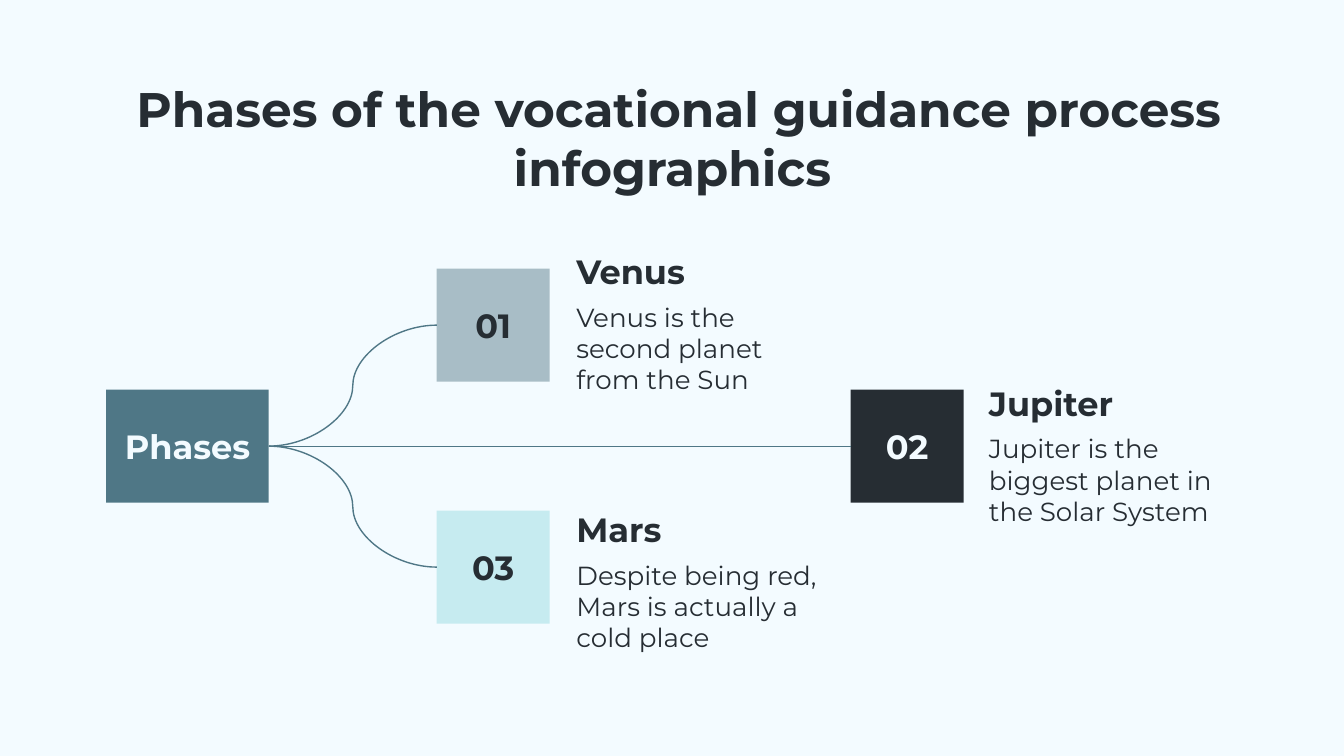
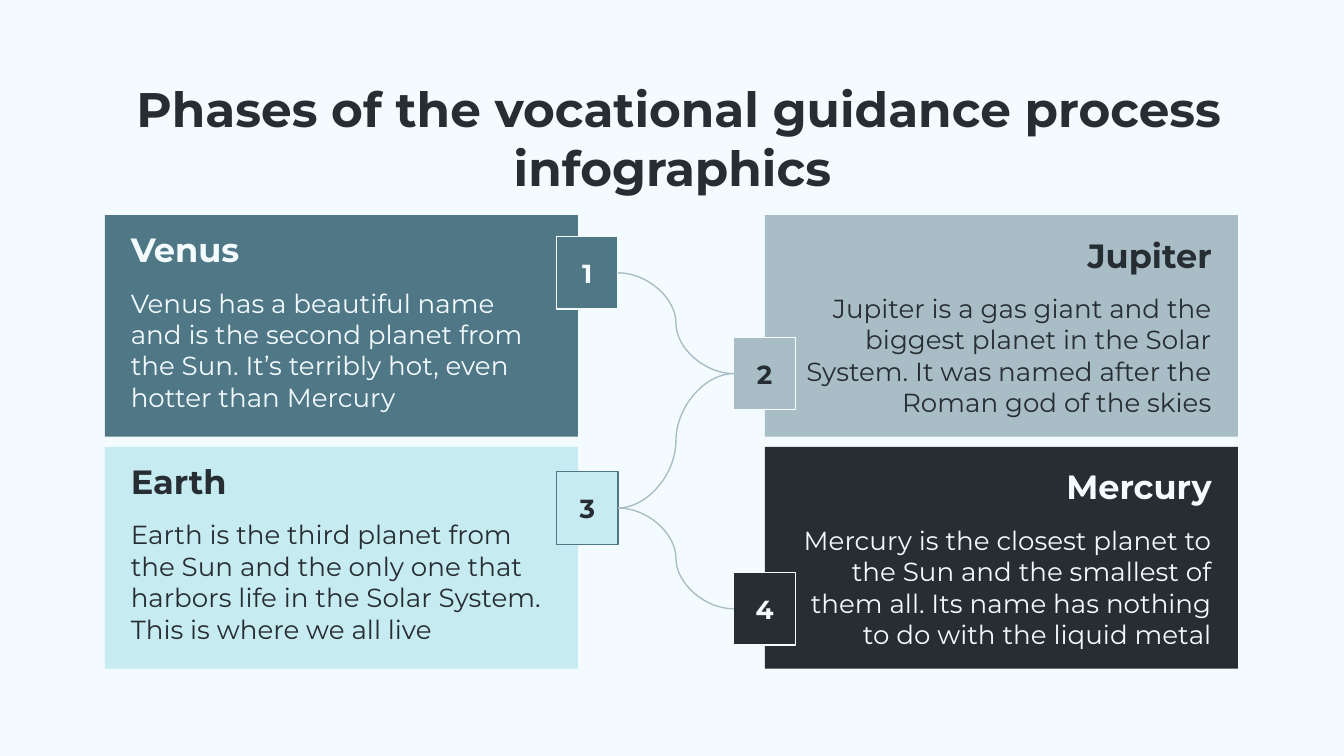
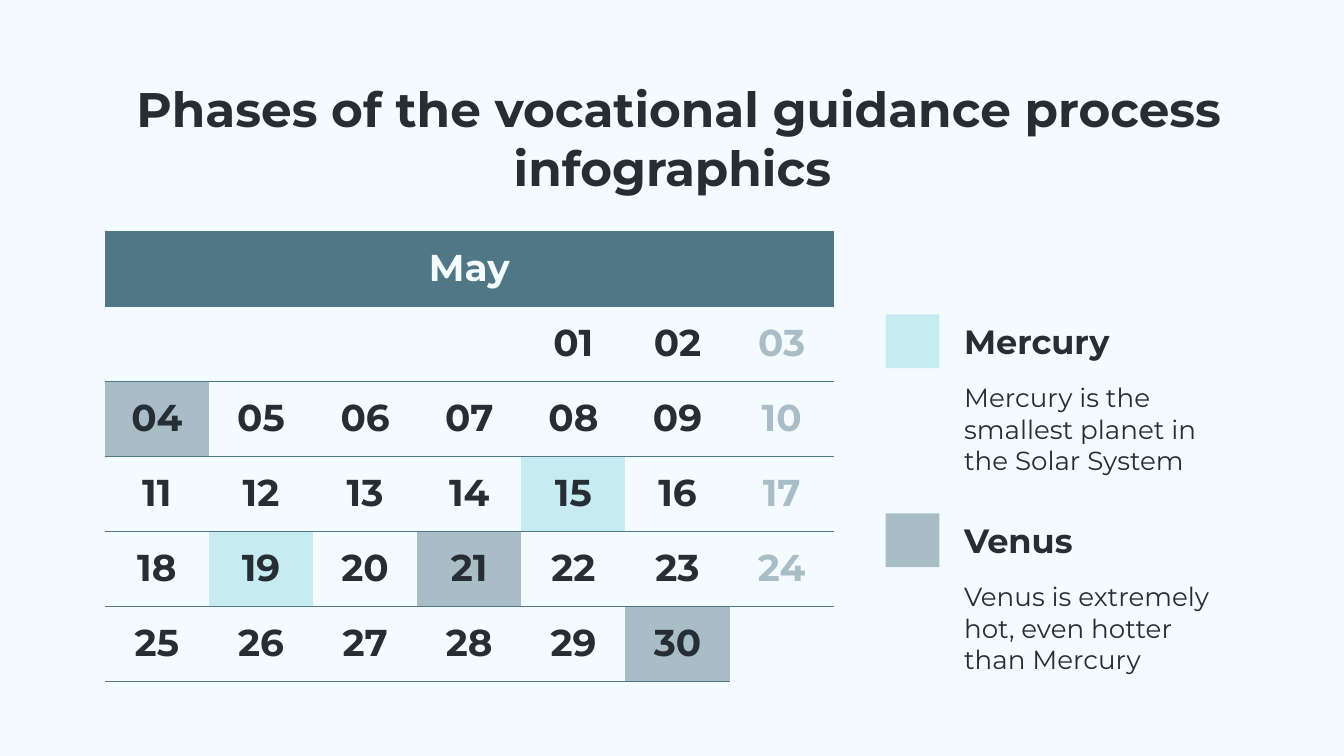
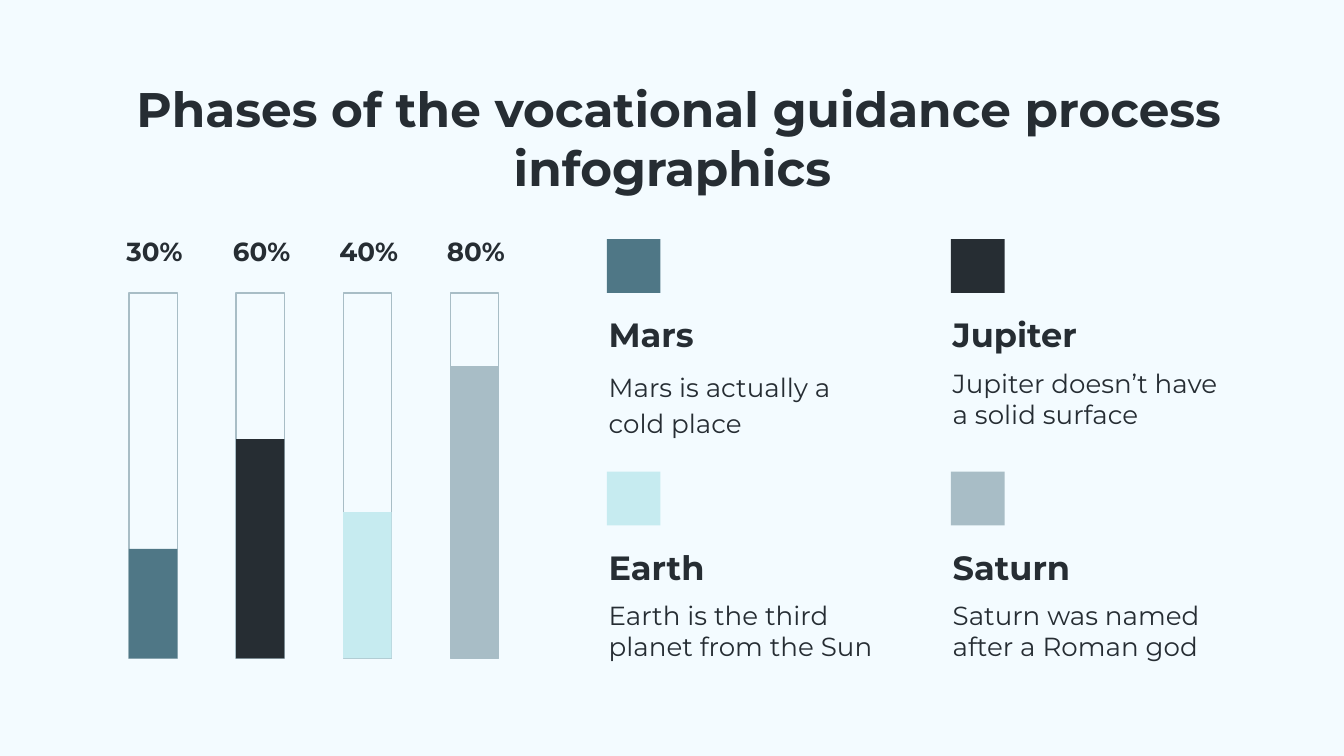
from lxml import etree
from pptx import Presentation
from pptx.dml.color import RGBColor
from pptx.enum.shapes import MSO_CONNECTOR, MSO_SHAPE
from pptx.enum.text import MSO_ANCHOR, PP_ALIGN
from pptx.oxml.ns import qn
from pptx.util import Inches, Pt

CURVE, RECTANGLE = MSO_CONNECTOR.CURVE, MSO_SHAPE.RECTANGLE
TOP, MIDDLE = MSO_ANCHOR.TOP, MSO_ANCHOR.MIDDLE
LEFT, CENTER, RIGHT = PP_ALIGN.LEFT, PP_ALIGN.CENTER, PP_ALIGN.RIGHT
LEFT_SITE, RIGHT_SITE = 1, 3

COLORS = {
    "paper": "F3FBFF",
    "ink": "262D33",
    "teal": "4F7786",
    "gray": "A8BDC6",
    "aqua": "C6EBF0",
}
RGB = {name: RGBColor.from_string(value) for name, value in COLORS.items()}
TEXT_ON = {"teal": "paper", "ink": "paper", "gray": "ink", "aqua": "ink"}
FONT = "Montserrat"
TITLE = " Phases of the vocational guidance process infographics"

presentation = Presentation()
presentation.slide_width = Inches(10)
presentation.slide_height = presentation.slide_width * 9 // 16
# Square grid: 100 columns across the slide
UNIT = presentation.slide_width // 100


def add_box(slide, left, top, width, height, text="", size=14, bold=False, color="ink",
            align=CENTER, anchor=MIDDLE, fill=None, line=None, line_spacing=None):
    """Add a rectangle, or a plain text box when it has neither fill nor line."""
    place = [round(value * UNIT) for value in (left, top, width, height)]
    if fill or line:
        shape = slide.shapes.add_shape(RECTANGLE, *place)
        shape.shadow.inherit = False
        shape.fill.background()
        shape.line.fill.background()
        if fill:
            shape.fill.solid()
            shape.fill.fore_color.rgb = RGB[fill]
        if line:
            shape.line.color.rgb = RGB[line]
            shape.line.width = Pt(0.75)
    else:
        shape = slide.shapes.add_textbox(*place)
    if text:
        frame = shape.text_frame
        frame.word_wrap = True
        frame.vertical_anchor = anchor
        frame.margin_left = frame.margin_right = frame.margin_top = frame.margin_bottom = UNIT
        frame.text = text
        paragraph = frame.paragraphs[0]
        paragraph.alignment = align
        paragraph.line_spacing = line_spacing
        font = paragraph.runs[0].font
        font.name, font.size, font.bold = FONT, Pt(size), bold
        font.color.rgb = RGB[color]
    return shape


def add_curves(slide, pairs, color):
    """Join the facing sides of each pair of boxes with a curve."""
    for start, end in pairs:
        start_site, end_site = RIGHT_SITE, LEFT_SITE
        if start.left > end.left:
            start_site, end_site = LEFT_SITE, RIGHT_SITE
        curve = slide.shapes.add_connector(CURVE, 0, 0, 0, 0)
        curve.begin_connect(start, start_site)
        curve.end_connect(end, end_site)
        curve.line.color.rgb = RGB[color]
        curve.line.width = Pt(0.75)
        etree.SubElement(curve._element.spPr, qn("a:effectLst"))


# Background and title of every slide
slides = []
for _ in range(4):
    slide = presentation.slides.add_slide(presentation.slide_layouts[6])
    slide.background.fill.solid()
    slide.background.fill.fore_color.rgb = RGB["paper"]
    add_box(slide, 7.9, 4.9, 84.3, 9.8, TITLE, 26, True, anchor=TOP)
    slides.append(slide)
branch_slide, panel_slide, calendar_slide, bar_slide = slides

# Slide 1: one root with three branches
root = add_box(branch_slide, 7.9, 29, 12.1, 8.4, "Phases", 18, True, "paper", fill="teal")
branches = [
    # number, fill, box left, box top, text left, text top, name, description
    ("01", "gray", 32.5, 20, 41.9, 18.2, "Venus", "Venus is the second planet from the Sun"),
    ("03", "aqua", 32.5, 38, 41.9, 37.4, "Mars",
     "Despite being red, Mars is actually a cold place"),
    ("02", "ink", 63.3, 29, 72.6, 28, "Jupiter",
     "Jupiter is the biggest planet in the Solar System"),
]
branch_boxes = []
for number, fill, left, top, text_left, text_top, name, description in branches:
    branch_boxes.append(add_box(branch_slide, left, top, 8.4, 8.4, number, 18, True,
                                TEXT_ON[fill], fill=fill))
    add_box(branch_slide, text_left, text_top, 20.1, 4, name, 18, True, align=LEFT)
    add_box(branch_slide, text_left, text_top + 3.2, 20.1, 8.3, description,
            align=LEFT, anchor=TOP)
add_curves(branch_slide, [(root, box) for box in branch_boxes], "teal")

# Slide 2: four panels in two columns, with linked number tags
panels = [
    # name, fill, tag line, description
    ("Venus", "teal", "paper", "Venus has a beautiful name and is the second planet from "
     "the Sun. It’s terribly hot, even hotter than Mercury"),
    ("Jupiter", "gray", "paper", "Jupiter is a gas giant and the biggest planet in the Solar "
     "System. It was named after the Roman god of the skies"),
    ("Earth", "aqua", "teal", "Earth is the third planet from the Sun and the only one that "
     "harbors life in the Solar System. This is where we all live"),
    ("Mercury", "ink", "paper", "Mercury is the closest planet to the Sun and the smallest of "
     "them all. Its name has nothing to do with the liquid metal"),
]
panel_columns = [
    # panel left, heading offset, tag left, tag top, alignment
    (7.8, 0.75, 41.4, 17.6, LEFT),
    (56.9, 1.15, 54.6, 25.1, RIGHT),
]
tags = []
for index, (name, fill, tag_line, description) in enumerate(panels):
    row, column = divmod(index, 2)
    left, offset, tag_left, tag_top, align = panel_columns[column]
    top = 16 + row * 17.25
    color = TEXT_ON[fill]
    add_box(panel_slide, left, top, 35.2, 16.5, fill=fill)
    add_box(panel_slide, left + 0.95, top + offset, 33.3, 3.6, name, 18, True, color, align)
    add_box(panel_slide, left + 0.95, top + offset + 3.6, 33.3, 10.5, description,
            color=color, align=align, anchor=TOP)
    tags.append(add_box(panel_slide, tag_left, tag_top + row * 17.5, 4.6, 5.4,
                        str(index + 1), 14, True, color, fill=fill, line=tag_line))
add_curves(panel_slide, zip(tags, tags[1:]), "gray")

# Slide 3: calendar table
WEEK, ROWS, FIRST_COLUMN, LAST_DAY = 7, 6, 4, 30
marked_days = {4: "gray", 15: "aqua", 19: "aqua", 21: "gray", 30: "gray"}
calendar = calendar_slide.shapes.add_table(
    ROWS, WEEK, round(7.8 * UNIT), round(17.25 * UNIT),
    round(54.25 * UNIT), round(33.5 * UNIT)).table
calendar.first_row = calendar.horz_banding = False
for column in calendar.columns:
    column.width = round(7.75 * UNIT)
for row in calendar.rows:
    row.height = round(5.58 * UNIT)
calendar.cell(0, 0).merge(calendar.cell(0, WEEK - 1))

for row in range(ROWS):
    for column in range(WEEK):
        cell = calendar.cell(row, column)
        day = (row - 1) * WEEK + column - FIRST_COLUMN + 1
        text, color, fill = "", "ink", None
        if row == 0:
            text, color, fill = "May" if column == 0 else "", "paper", "teal"
        elif 1 <= day <= LAST_DAY:
            text, fill = f"{day:02d}", marked_days.get(day)
            color = "gray" if column == WEEK - 1 else "ink"

        # Rules between the weeks only
        ruled = {"a:lnT": row != 1, "a:lnB": row > 0 and day <= LAST_DAY}
        properties = cell._tc.get_or_add_tcPr()
        for edge in ("a:lnL", "a:lnR", "a:lnT", "a:lnB"):
            border = etree.SubElement(properties, qn(edge), w=str(Pt(0.75)))
            if ruled.get(edge):
                solid = etree.SubElement(border, qn("a:solidFill"))
                etree.SubElement(solid, qn("a:srgbClr"), val=COLORS["teal"])
            else:
                etree.SubElement(border, qn("a:noFill"))

        cell.margin_left = cell.margin_right = cell.margin_top = cell.margin_bottom = UNIT
        if fill:
            cell.fill.solid()
            cell.fill.fore_color.rgb = RGB[fill]
        else:
            cell.fill.background()
        if text:
            cell.text_frame.text = text
            paragraph = cell.text_frame.paragraphs[0]
            paragraph.alignment = CENTER
            font = paragraph.runs[0].font
            font.name, font.size, font.bold = FONT, Pt(20), True
            font.color.rgb = RGB[color]

# Slide 3: legend
calendar_legend = [
    ("Mercury", "aqua", "Mercury is the smallest planet in the Solar System"),
    ("Venus", "gray", "Venus is extremely hot, even hotter than Mercury"),
]
for index, (name, fill, description) in enumerate(calendar_legend):
    top = 23.4 + index * 14.8
    add_box(calendar_slide, 65.9, top, 4, 4, fill=fill)
    add_box(calendar_slide, 70.75, top, 21.4, 4, name, 18, True, align=LEFT)
    add_box(calendar_slide, 70.75, top + 4, 21.4, 8.4, description, align=LEFT, anchor=TOP)

# Slide 4: percentage bars and their legend
BAR_TOP, BAR_HEIGHT, BAR_WIDTH = 21.8, 27.2, 3.6
bars = [
    # name, percentage, fill, description, line spacing
    ("Mars", 30, "teal", "Mars is actually a cold place", 1.15),
    ("Jupiter", 60, "ink", "Jupiter doesn’t have a solid surface", None),
    ("Earth", 40, "aqua", "Earth is the third planet from the Sun", None),
    ("Saturn", 80, "gray", "Saturn was named after a Roman god", None),
]
for index, (name, percentage, fill, description, line_spacing) in enumerate(bars):
    bar_left = 9.6 + index * 7.97
    filled = BAR_HEIGHT * percentage / 100
    add_box(bar_slide, bar_left, BAR_TOP, BAR_WIDTH, BAR_HEIGHT, line="gray")
    add_box(bar_slide, bar_left, BAR_TOP + BAR_HEIGHT - filled, BAR_WIDTH, filled, fill=fill)
    add_box(bar_slide, bar_left - 1.3, 17.1, 6.4, 3.1, f"{percentage}%", 14, True)

    row, column = divmod(index, 2)
    left, top = 44.3 + column * 25.6, 17.8 + row * 17.3
    add_box(bar_slide, left + 0.85, top, 4, 4, fill=fill)
    add_box(bar_slide, left, top + 4.85, 22.2, 4, name, 18, True, align=LEFT,
            line_spacing=1.15)
    add_box(bar_slide, left, top + 8.5, 22.2, 5.9, description, align=LEFT, anchor=TOP,
            line_spacing=line_spacing)

presentation.save("out.pptx")
